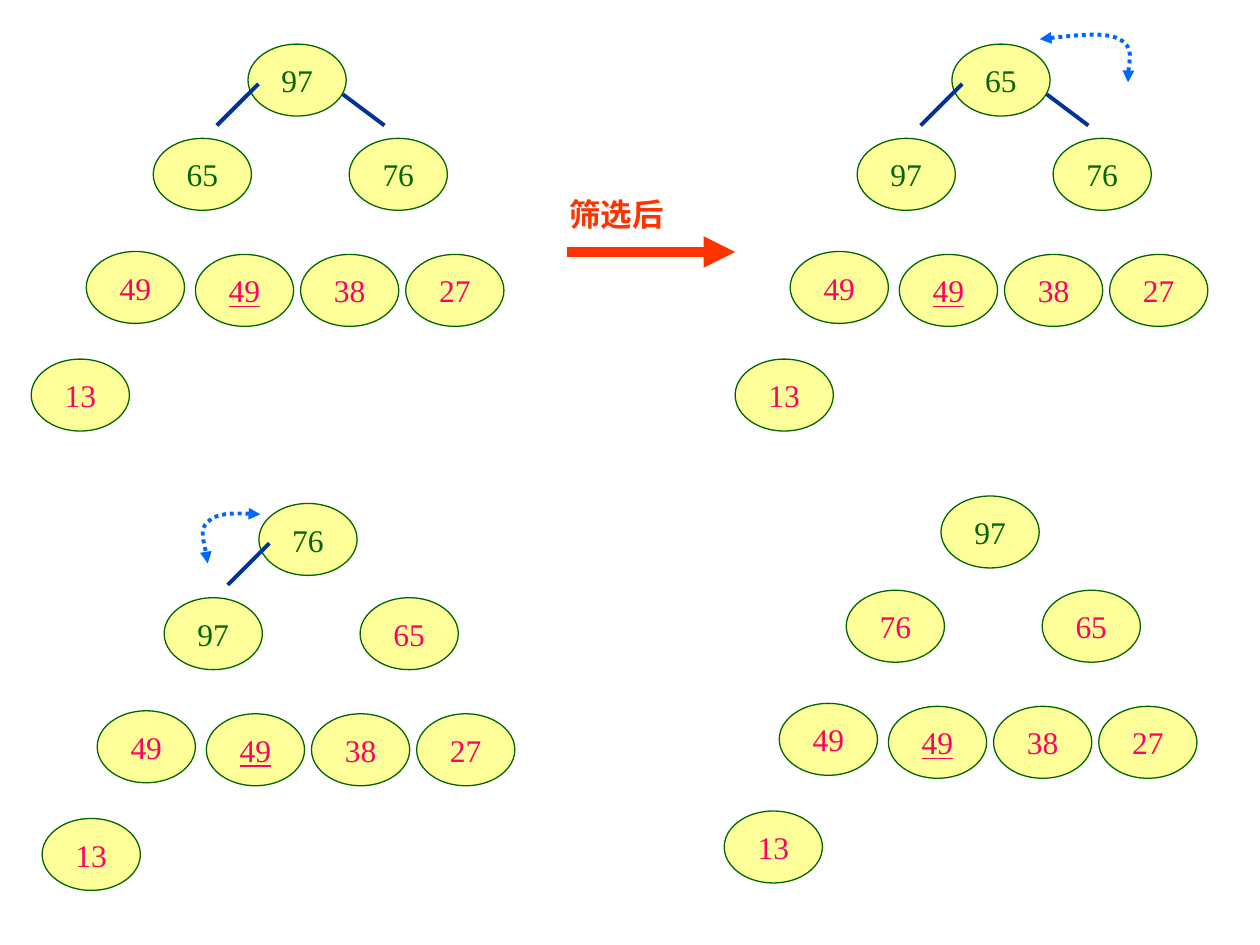
from dataclasses import dataclass

from lxml.etree import SubElement
from pptx import Presentation
from pptx.dml.color import RGBColor
from pptx.enum.dml import MSO_LINE
from pptx.enum.shapes import MSO_CONNECTOR, MSO_SHAPE
from pptx.enum.text import MSO_ANCHOR, PP_ALIGN
from pptx.oxml.ns import qn
from pptx.util import Cm, Pt


@dataclass(frozen=True)
class Theme:
    font: str = "Times New Roman"
    text_size: int = 18
    node_fill: str = "FFFF99"
    node_line: str = "006600"
    heap_text: str = "006600"
    settled_text: str = "FF0066"
    edge: str = "003399"
    sift: str = "FF3300"
    swap: str = "0066FF"
    thin: float = 0.75
    medium: float = 2.25
    thick: float = 6


THEME = Theme()
NODE_WIDTH, NODE_HEIGHT = 1.98, 1.45
LEAF_LEFT, LEAF_TOP, LEAF_STEP = 3.31, 4.24, 2.12
NODE_OFFSETS = [
    (4.37, 0), (2.46, 1.9), (6.41, 1.9), (1.11, 4.18),
    *[(LEAF_LEFT + LEAF_STEP * column, LEAF_TOP) for column in range(3)],
    (0, 6.35),
]
EDGE_OFFSETS = [((4.58, 0.8), (3.74, 1.64)), ((6.28, 1.01), (7.12, 1.64))]
UNDERLINED_NODE = 4

TREES = [
    ((0.63, 0.89), [97, 65, 76, 49, 49, 38, 27, 13], 3),
    ((14.82, 0.89), [65, 97, 76, 49, 49, 38, 27, 13], 3),
    ((0.85, 10.15), [76, 97, 65, 49, 49, 38, 27, 13], 2),
    ((14.6, 10), [97, 76, 65, 49, 49, 38, 27, 13], 1),
]
SWAP_RIGHT = [(0, 0.15), (0.66, 0.08), (1.32, 0), (1.6, 0.15),
              (1.91, 0.3), (1.75, 0.89), (1.78, 1.02)]
SWAP_LEFT = [(1.24, 0.03), (0.81, 0), (0.36, 0), (0.18, 0.18),
             (0, 0.33), (0.18, 0.89), (0.18, 1.02)]


def style_line(line, color, width):
    line.color.rgb = RGBColor.from_string(color)
    line.width = Pt(width)


def add_arrowheads(shape, *ends):
    outline = shape.element.spPr.find(qn("a:ln"))
    for end in ends:
        SubElement(outline, qn(f"a:{end}"), type="triangle")


def style_text(paragraph, color, bold=False, underline=None):
    font = paragraph.runs[0].font
    font.name = THEME.font
    font.size = Pt(THEME.text_size)
    font.color.rgb = RGBColor.from_string(color)
    font.bold = bold
    font.underline = underline


def add_line(shapes, box, start, end, color, width):
    left, top = box
    connector = shapes.add_connector(
        MSO_CONNECTOR.STRAIGHT,
        Cm(left + start[0]), Cm(top + start[1]), Cm(left + end[0]), Cm(top + end[1]),
    )
    style_line(connector.line, color, width)
    SubElement(connector.element.spPr, qn("a:effectLst"))
    return connector


def add_node(shapes, left, top, value, color, underline):
    node = shapes.add_shape(
        MSO_SHAPE.OVAL, Cm(left), Cm(top), Cm(NODE_WIDTH), Cm(NODE_HEIGHT)
    )
    node.shadow.inherit = False
    node.fill.solid()
    node.fill.fore_color.rgb = RGBColor.from_string(THEME.node_fill)
    style_line(node.line, THEME.node_line, THEME.thin)
    text_frame = node.text_frame
    text_frame.text = str(value)
    text_frame.vertical_anchor = MSO_ANCHOR.MIDDLE
    paragraph = text_frame.paragraphs[0]
    paragraph.alignment = PP_ALIGN.CENTER
    style_text(paragraph, color, underline=underline)


def add_tree(slide, box, values, heap_size):
    shapes = slide.shapes.add_group_shape().shapes
    left, top = box
    for index, (value, (x, y)) in enumerate(zip(values, NODE_OFFSETS)):
        color = THEME.heap_text if index < heap_size else THEME.settled_text
        underline = True if index == UNDERLINED_NODE else None
        add_node(shapes, left + x, top + y, value, color, underline)
    for start, end in EDGE_OFFSETS[:heap_size - 1]:
        add_line(shapes, box, start, end, THEME.edge, THEME.medium)


def add_sift_step(slide, box):
    shapes = slide.shapes.add_group_shape().shapes
    left, top = box
    label = shapes.add_textbox(Cm(left), Cm(top), Cm(3.38), Cm(1.02))
    label.text_frame.word_wrap = True
    label.text_frame.text = "筛选后"
    style_text(label.text_frame.paragraphs[0], THEME.sift, bold=True)
    arrow = add_line(shapes, box, (0.2, 1.27), (3.59, 1.27), THEME.sift, THEME.thick)
    add_arrowheads(arrow, "tailEnd")


def add_swap_curve(slide, box, offsets):
    left, top = box
    points = [(Cm(left + x), Cm(top + y)) for x, y in offsets]
    builder = slide.shapes.build_freeform(*points[0])
    builder.add_line_segments(points[1:], close=False)
    curve = builder.convert_to_shape()
    segments = list(curve.element.iter(qn("a:lnTo")))
    outline = segments[0].getparent()
    for first in range(0, len(segments), 3):
        bezier = SubElement(outline, qn("a:cubicBezTo"))
        for segment in segments[first:first + 3]:
            bezier.append(segment[0])
            outline.remove(segment)
    curve.shadow.inherit = False
    curve.fill.background()
    style_line(curve.line, THEME.swap, THEME.medium)
    curve.line.dash_style = MSO_LINE.ROUND_DOT
    add_arrowheads(curve, "headEnd", "tailEnd")


def main():
    presentation = Presentation()
    presentation.slide_width, presentation.slide_height = Cm(25.4), Cm(19.05)
    slide = presentation.slides.add_slide(presentation.slide_layouts[6])
    first, sifted, second, last = TREES
    add_tree(slide, *first)
    add_sift_step(slide, (11.23, 3.81))
    add_tree(slide, *sifted)
    add_swap_curve(slide, (20.96, 0.64), SWAP_RIGHT)
    add_tree(slide, *second)
    add_tree(slide, *last)
    add_swap_curve(slide, (4.01, 10.34), SWAP_LEFT)
    presentation.save("out.pptx")


if __name__ == "__main__":
    main()
